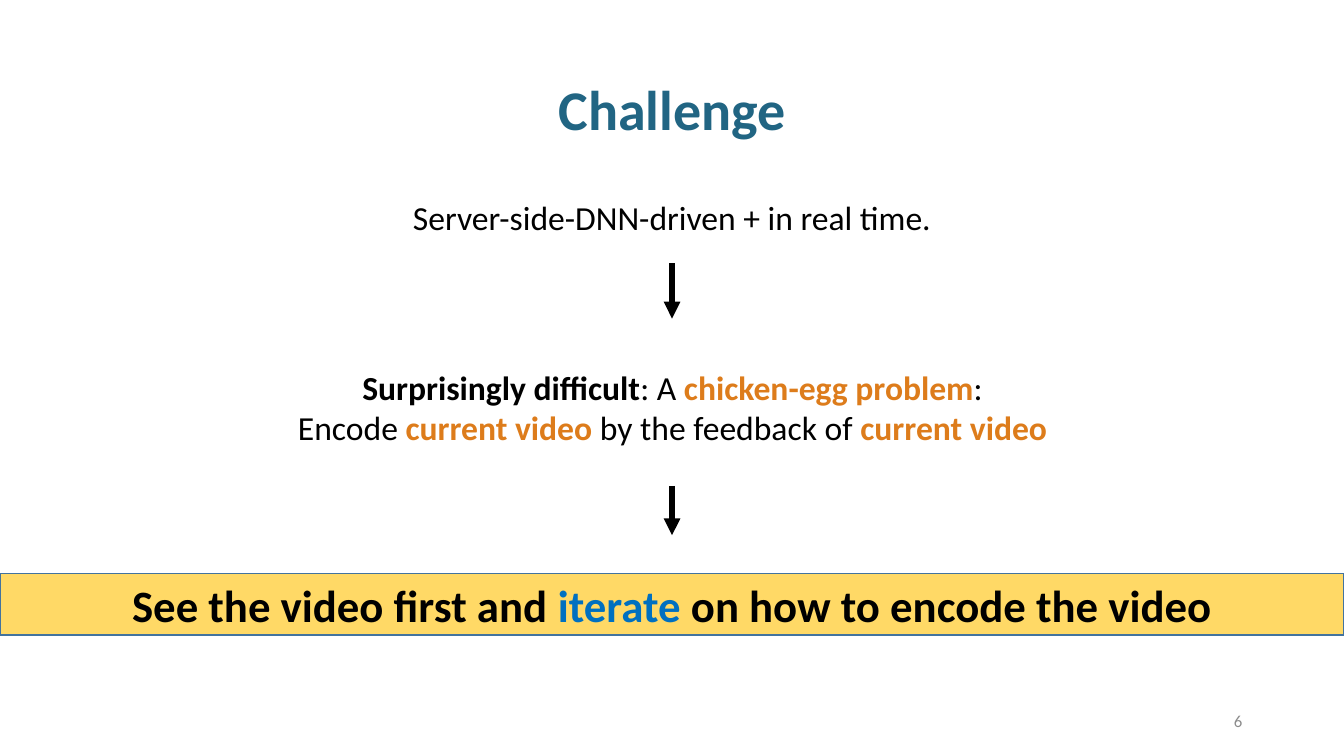
from lxml import etree
from pptx import Presentation
from pptx.dml.color import RGBColor
from pptx.enum import shapes, text
from pptx.oxml import ns
from pptx.util import Inches, Pt

BLACK = RGBColor(0x00, 0x00, 0x00)
TEAL = RGBColor(0x21, 0x65, 0x83)
ORANGE = RGBColor(0xDD, 0x7C, 0x1B)
BLUE = RGBColor(0x00, 0x70, 0xC0)
YELLOW = RGBColor(0xFF, 0xD9, 0x66)
EDGE = RGBColor(0x43, 0x73, 0x9E)
GRAY = RGBColor(0x8C, 0x8C, 0x8C)

WIDE, HIGH = 13.33, 7.5
MID = WIDE / 2
CENTER, RIGHT = text.PP_ALIGN.CENTER, text.PP_ALIGN.RIGHT
TOP, MIDDLE = text.MSO_ANCHOR.TOP, text.MSO_ANCHOR.MIDDLE


def write(frame, lines, size, align=CENTER, anchor=TOP):
    """Fill a frame; each line is a list of (words, color, bold) runs."""
    frame.word_wrap = True
    frame.auto_size = text.MSO_AUTO_SIZE.NONE
    frame.vertical_anchor = anchor
    for i, line in enumerate(lines):
        para = frame.add_paragraph() if i else frame.paragraphs[0]
        para.alignment = align
        for words, color, bold in line:
            run = para.add_run()
            run.text = words
            font = run.font
            font.name, font.size, font.bold = "Calibri", Pt(size), bold
            font.color.rgb = color


def add_title(slide, box, words):
    title = slide.shapes.title
    title.left, title.top, title.width, title.height = map(Inches, box)
    write(title.text_frame, [[(words, TEAL, True)]], 40, anchor=MIDDLE)
    title.text_frame.paragraphs[0].line_spacing = 0.9


def add_text(slide, box, lines, size=24, **style):
    area = slide.shapes.add_textbox(*map(Inches, box))
    write(area.text_frame, lines, size, **style)


def add_arrow(slide, top, end):
    arrow = slide.shapes.add_connector(
        shapes.MSO_CONNECTOR.STRAIGHT,
        Inches(MID), Inches(top), Inches(MID), Inches(end))
    arrow.line.color.rgb = BLACK
    arrow.line.width = Pt(4)
    line = arrow.line._get_or_add_ln()
    etree.SubElement(line, ns.qn("a:tailEnd"), type="triangle")
    etree.SubElement(arrow._element.spPr, ns.qn("a:effectLst"))


def add_banner(slide, box, line):
    bar = slide.shapes.add_shape(
        shapes.MSO_SHAPE.RECTANGLE, *map(Inches, box))
    bar.shadow.inherit = False
    bar.fill.solid()
    bar.fill.fore_color.rgb = YELLOW
    bar.line.color.rgb = EDGE
    bar.line.width = Pt(1)
    write(bar.text_frame, [line], 32, anchor=MIDDLE)


def add_challenge(deck):
    slide = deck.slides.add_slide(deck.slide_layouts[5])
    add_title(slide, (-0.04, 0.39, 13.41, 1.45), "Challenge")

    # Goal
    add_text(slide, (-0.09, 1.9, 13.51, 0.5),
             [[("Server-side-DNN-driven + in real time.", BLACK, False)]])
    add_arrow(slide, 2.61, 3.16)

    # Problem
    add_text(slide, (0.96, 3.59, 11.42, 0.91), [
        [("Surprisingly difficult", BLACK, True),
         (": A ", BLACK, False),
         ("chicken-egg problem", ORANGE, True),
         (":", BLACK, False)],
        [("Encode", BLACK, False),
         (" current video ", ORANGE, True),
         ("by the feedback of ", BLACK, False),
         ("current video", ORANGE, True)],
    ])
    add_arrow(slide, 4.82, 5.31)

    # Answer
    add_banner(slide, (0, 5.69, WIDE, 0.61), [
        ("See the video first and ", BLACK, True),
        ("iterate", BLUE, True),
        (" on how to encode the video", BLACK, True),
    ])

    # Page number
    add_text(slide, (9.42, 6.95, 3, 0.4), [[("6", GRAY, False)]], 12,
             align=RIGHT, anchor=MIDDLE)


def main():
    deck = Presentation()
    deck.slide_width, deck.slide_height = Inches(WIDE), Inches(HIGH)
    add_challenge(deck)
    deck.save("out.pptx")


if __name__ == "__main__":
    main()
